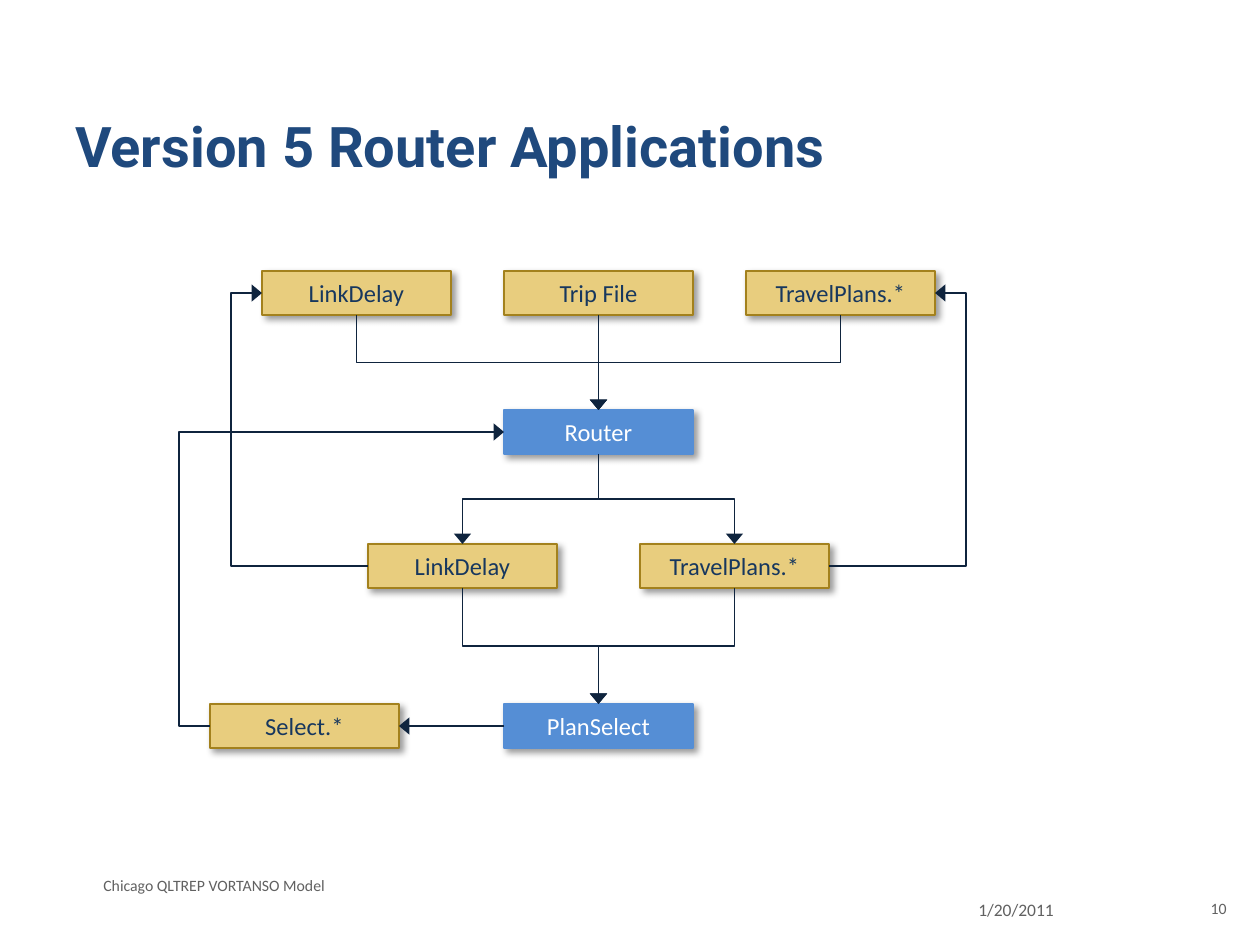
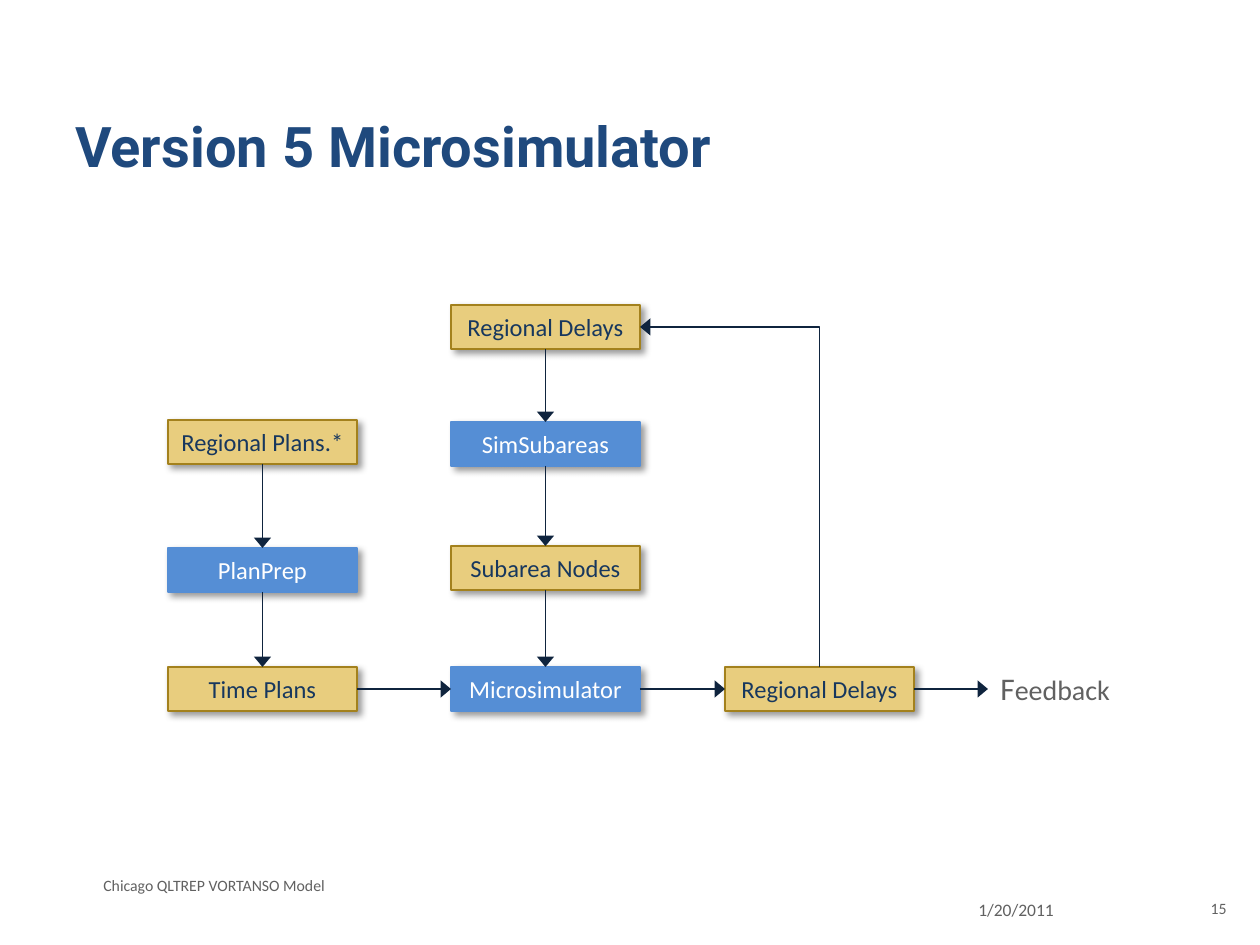
"""Build two flow chart slides on the router and the microsimulator."""
import pptx
import pptx.dml.color
import pptx.enum.shapes
import pptx.enum.text
import pptx.oxml
import pptx.oxml.ns
import pptx.util

PX = 914400 / 126
BOX_WIDTH, BOX_HEIGHT = 189, 44
TOP, LEFT, BOTTOM, RIGHT = range(4)
TITLE_COLOR, GREY, ARROW_COLOR = "1F497D", "616161", "0F243E"
BOX_STYLES = {
    "file": ("E8CD7E", "A3811D", "17375E"),
    "program": ("558ED5", "558ED5", "FFFFFF"),
}
TURNS = {
    (BOTTOM, True): (270, "flipH"),
    (BOTTOM, False): (90, None),
    (TOP, False): (270, "flipV"),
    (RIGHT, True): (0, "flipV"),
    (LEFT, True): (0, "flipV"),
    (LEFT, False): (180, None),
}
FOOTER = "Chicago QLTREP VORTANSO Model"
DATE = "1/20/2011"

SLIDES = [
    {
        "title": "Version 5 Router Applications",
        "number": "10",
        "boxes": {
            "old delay": ("LinkDelay", "file", 262, 271),
            "trips": ("Trip File", "file", 504, 271),
            "old plans": ("TravelPlans.*", "file", 746, 271),
            "router": ("Router", "program", 504, 410),
            "new delay": ("LinkDelay", "file", 368, 544),
            "new plans": ("TravelPlans.*", "file", 640, 544),
            "select": ("Select.*", "file", 210, 704),
            "plan select": ("PlanSelect", "program", 504, 704),
        },
        "arrows": [
            ("old delay", BOTTOM, "router", TOP, None),
            ("trips", BOTTOM, "router", TOP, None),
            ("old plans", BOTTOM, "router", TOP, None),
            ("router", BOTTOM, "new delay", TOP, None),
            ("router", BOTTOM, "new plans", TOP, None),
            ("new delay", BOTTOM, "plan select", TOP, None),
            ("new plans", BOTTOM, "plan select", TOP, None),
            ("plan select", LEFT, "select", RIGHT, None),
            ("new delay", LEFT, "old delay", LEFT, 231),
            ("new plans", RIGHT, "old plans", RIGHT, 966),
            ("select", LEFT, "router", LEFT, 179),
        ],
    },
    {
        "title": "Version 5 Microsimulator",
        "number": "15",
        "boxes": {
            "plans": ("Regional Plans.*", "file", 168, 420),
            "prep": ("PlanPrep", "program", 168, 548),
            "time plans": ("Time Plans", "file", 168, 667),
            "old delays": ("Regional Delays", "file", 451, 305),
            "subareas": ("SimSubareas", "program", 451, 422),
            "nodes": ("Subarea Nodes", "file", 451, 546),
            "simulator": ("Microsimulator", "program", 451, 667),
            "new delays": ("Regional Delays", "file", 725, 667),
        },
        "arrows": [
            ("plans", BOTTOM, "prep", TOP, None),
            ("prep", BOTTOM, "time plans", TOP, None),
            ("time plans", RIGHT, "simulator", LEFT, None),
            ("old delays", BOTTOM, "subareas", TOP, None),
            ("subareas", BOTTOM, "nodes", TOP, None),
            ("nodes", BOTTOM, "simulator", TOP, None),
            ("simulator", RIGHT, "new delays", LEFT, None),
            ("new delays", TOP, "old delays", RIGHT, None),
        ],
        "exit": ("new delays", "Feedback", 988),
    },
]


def emu(pixels):
    return round(pixels * PX)


def color(value):
    return pptx.dml.color.RGBColor.from_string(value)


def element(xml):
    space = pptx.oxml.ns.nsdecls("a")
    return pptx.oxml.parse_xml(xml.replace(" ", f" {space} ", 1))


def style_span(span, size, ink, font="Calibri", bold=False):
    span.font.size = pptx.util.Pt(size)
    span.font.color.rgb = color(ink)
    span.font.name = font
    span.font.bold = bold


def add_text(page, text, area, size, ink, font="Calibri", bold=False):
    box = page.shapes.add_textbox(*map(emu, area))
    box.text_frame.word_wrap = True
    box.text_frame.text = text
    style_span(box.text_frame.paragraphs[0].runs[0], size, ink, font, bold)
    return box


def add_frame(page, title, number):
    heading = add_text(page, title, (63, 38, 1134, 158), 32, TITLE_COLOR, "Roboto", True)
    heading.text_frame.vertical_anchor = pptx.enum.text.MSO_ANCHOR.BOTTOM
    heading.text_frame.margin_bottom = emu(17)
    add_text(page, DATE, (966, 893, 189, 42), 10, GREY)
    add_text(page, FOOTER, (91, 870, 819, 32), 9, GREY)
    corner = add_text(page, number, (1186, 893, 53, 40), 9, GREY)
    corner.text_frame.paragraphs[0].alignment = pptx.enum.text.PP_ALIGN.RIGHT


def add_box(page, text, style, left, top):
    fill, edge, ink = BOX_STYLES[style]
    area = map(emu, (left, top, BOX_WIDTH, BOX_HEIGHT))
    box = page.shapes.add_shape(pptx.enum.shapes.MSO_SHAPE.RECTANGLE, *area)
    box.fill.solid()
    box.fill.fore_color.rgb = color(fill)
    box.line.color.rgb = color(edge)
    box.line.width = pptx.util.Pt(0.75)
    box.shadow.inherit = False
    effects = box._element.spPr.find(pptx.oxml.ns.qn("a:effectLst"))
    effects.append(element(
        '<a:outerShdw blurRad="50800" dist="38100" dir="2700000" algn="tl" rotWithShape="0">'
        '<a:srgbClr val="000000"><a:alpha val="40000"/></a:srgbClr></a:outerShdw>'))
    frame = box.text_frame
    frame.margin_left = frame.margin_right = 0
    frame.vertical_anchor = pptx.enum.text.MSO_ANCHOR.MIDDLE
    frame.text = text
    para = frame.paragraphs[0]
    para.alignment = pptx.enum.text.PP_ALIGN.CENTER
    style_span(para.runs[0], 14, ink)
    return box


def side_point(box, side):
    across = {LEFT: 0, RIGHT: box.width}.get(side, box.width // 2)
    down = {TOP: 0, BOTTOM: box.height}.get(side, box.height // 2)
    return box.left + across, box.top + down


def add_line(page, kind, start, end):
    line = page.shapes.add_connector(kind, *start, *end)
    line.line.color.rgb = color(ARROW_COLOR)
    line.line.width = pptx.util.Pt(1)
    line.line._get_or_add_ln().append(element('<a:tailEnd type="triangle" w="lg"/>'))
    line._element.spPr.append(element("<a:effectLst />"))
    return line


def bend(line, start, end, side, corner, via):
    (x1, y1), (x2, y2) = start, end
    turn, flip = TURNS[side, x2 > x1]
    width, height = abs(x2 - x1), abs(y2 - y1)
    if side in (TOP, BOTTOM):
        width, height = height, width
    line.left, line.top = (x1 + x2 - width) // 2, (y1 + y2 - height) // 2
    line.width, line.height = width, height
    properties = line._element.spPr
    frame = properties.find(pptx.oxml.ns.qn("a:xfrm"))
    for name in ("flipH", "flipV"):
        frame.attrib.pop(name, None)
    frame.set("rot", str(turn * 60000))
    if flip:
        frame.set(flip, "1")
    shape = properties.find(pptx.oxml.ns.qn("a:prstGeom"))
    if corner:
        shape.set("prst", "bentConnector2")
        return
    share = (emu(via) - x1) / (x2 - x1) if via else 0.5
    guides = shape.find(pptx.oxml.ns.qn("a:avLst"))
    guides.append(element(f'<a:gd name="adj1" fmla="val {round(share * 100000)}"/>'))


def add_arrow(page, boxes, source, source_side, target, target_side, via):
    start = side_point(boxes[source], source_side)
    end = side_point(boxes[target], target_side)
    kinds = pptx.enum.shapes.MSO_CONNECTOR
    straight = start[0] == end[0] or start[1] == end[1]
    line = add_line(page, kinds.STRAIGHT if straight else kinds.ELBOW, start, end)
    line.begin_connect(boxes[source], source_side)
    line.end_connect(boxes[target], target_side)
    if not straight:
        corner = source_side % 2 != target_side % 2
        bend(line, start, end, source_side, corner, via)


def add_exit(page, boxes, source, text, left):
    start = side_point(boxes[source], RIGHT)
    line = add_line(page, pptx.enum.shapes.MSO_CONNECTOR.STRAIGHT, start, (emu(left), start[1]))
    line.begin_connect(boxes[source], RIGHT)
    label = add_text(page, text[0], (left, 663, 136, 50), 18, GREY)
    label.text_frame.word_wrap = False
    span = label.text_frame.paragraphs[0].add_run()
    span.text = text[1:]
    style_span(span, 16, GREY)


def main():
    deck = pptx.Presentation()
    deck.slide_width, deck.slide_height = emu(1260), emu(945)
    for content in SLIDES:
        page = deck.slides.add_slide(deck.slide_layouts[6])
        add_frame(page, content["title"], content["number"])
        boxes = {name: add_box(page, *box) for name, box in content["boxes"].items()}
        for arrow in content["arrows"]:
            add_arrow(page, boxes, *arrow)
        if "exit" in content:
            add_exit(page, boxes, *content["exit"])
    deck.save("out.pptx")


if __name__ == "__main__":
    main()
